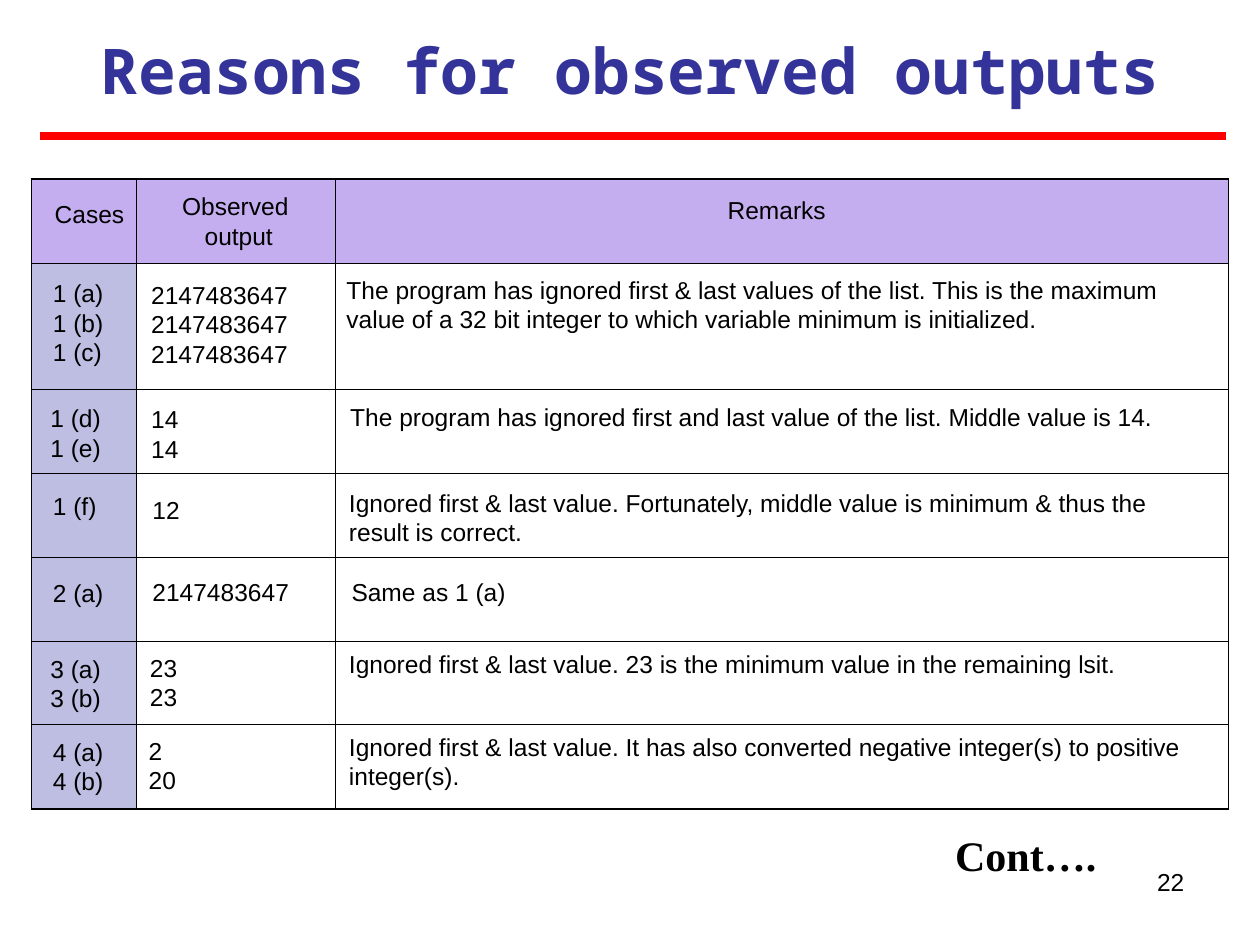
from lxml.etree import SubElement
from pptx import Presentation
from pptx.dml.color import RGBColor
from pptx.enum.shapes import MSO_CONNECTOR
from pptx.enum.text import MSO_ANCHOR, PP_ALIGN
from pptx.oxml.ns import qn
from pptx.util import Inches, Pt

COLORS = {
    "title": "333399",
    "text": "000000",
    "rule": "FF0000",
    "border": "000000",
    "header": "C4AEF0",
    "cases": "BDBEE1",
}


def write_text(shape, lines, size=14, font="Arial", color="text", bold=False,
               align=PP_ALIGN.LEFT, wrap=True):
    frame = shape.text_frame
    frame.margin_left = frame.margin_top = frame.margin_right = frame.margin_bottom = 0
    frame.vertical_anchor = MSO_ANCHOR.TOP
    frame.word_wrap = wrap
    frame.text = "\n".join(lines)
    for paragraph in frame.paragraphs:
        paragraph.alignment = align
        paragraph.font.size = Pt(size)
        paragraph.font.name = font
        paragraph.font.bold = bold
        paragraph.font.color.rgb = RGBColor.from_string(COLORS[color])


def add_border(cell, side, width):
    line = SubElement(cell._tc.get_or_add_tcPr(), qn(f"a:ln{side}"), w=str(Pt(width)))
    fill = SubElement(line, qn("a:solidFill"))
    SubElement(fill, qn("a:srgbClr"), val=COLORS["border"])


presentation = Presentation()
presentation.slide_width = Inches(10)
presentation.slide_height = Inches(7.5)
slide = presentation.slides.add_slide(presentation.slide_layouts[5])

# Title
title = slide.shapes.title
title.left, title.top = Inches(0.25), Inches(0.25)
title.width, title.height = Inches(9.5), Inches(0.6)
write_text(title, ["Reasons for observed outputs"], 36, "Noto Sans Mono", "title",
           bold=True, align=PP_ALIGN.CENTER)

# Table grid: the first body row is taller, the others share the rest
column_widths = [0.83, 1.58, 7.09]
row_heights = [4 / 6, 1] + [4 / 6] * 5
last_row, last_column = len(row_heights) - 1, len(column_widths) - 1
table = slide.shapes.add_table(len(row_heights), len(column_widths), Inches(0.25),
                               Inches(1.42), Inches(9.5), Inches(5)).table
table.first_row = table.horz_banding = False
for column, width in zip(table.columns, column_widths):
    column.width = Inches(width)
for row, height in zip(table.rows, row_heights):
    row.height = Inches(height)

for row in range(last_row + 1):
    for column in range(last_column + 1):
        cell = table.cell(row, column)
        outer_sides = {"L": column == 0, "R": column == last_column,
                       "T": row == 0, "B": row == last_row}
        for side, is_outer in outer_sides.items():
            add_border(cell, side, 1.08 if is_outer else 0.45)
        if row == 0 or column == 0:
            cell.fill.solid()
            cell.fill.fore_color.rgb = RGBColor.from_string(
                COLORS["header" if row == 0 else "cases"])
        else:
            cell.fill.background()

# Column headings: left, top, width, lines
headings = [
    (0.42, 1.58, 0.58, ["Cases"]),
    (1.2, 1.52, 1.39, ["Observed ", "output"]),
    (2.83, 1.55, 6.67, ["Remarks"]),
]
line_height = 0.23
for left, top, width, lines in headings:
    box = slide.shapes.add_textbox(Inches(left), Inches(top), Inches(width),
                                   Inches(line_height * len(lines)))
    write_text(box, lines, align=PP_ALIGN.CENTER)

# Entries of each row: (left, top, lines) for case, output and remark
entry_widths = [0.5, 1.39, 6.83]
entries = [
    [(0.42, 2.21, ["1 (a)", "1 (b)", "1 (c)"]),
     (1.2, 2.22, ["2147483647"] * 3),
     (2.75, 2.18, ["The program has ignored first & last values of the list. This is the "
                   "maximum value of a 32 bit integer to which variable minimum is "
                   "initialized."])],
    [(0.4, 3.2, ["1 (d)", "1 (e)"]),
     (1.2, 3.21, ["14", "14"]),
     (2.78, 3.19, ["The program has ignored first and last value of the list. "
                   "Middle value is 14."])],
    [(0.42, 3.9, ["1 (f)"]),
     (1.21, 3.93, ["12"]),
     (2.77, 3.87, ["Ignored first & last value. Fortunately, middle value is minimum "
                   "& thus the result is correct."])],
    [(0.42, 4.59, ["2 (a)"]),
     (1.21, 4.58, ["2147483647"]),
     (2.79, 4.58, ["Same as 1 (a)"])],
    [(0.4, 5.19, ["3 (a)", "3 (b)"]),
     (1.19, 5.18, ["23", "23"]),
     (2.77, 5.15, ["Ignored first & last value. 23 is the minimum value in the "
                   "remaining lsit."])],
    [(0.42, 5.85, ["4 (a)", "4 (b)"]),
     (1.18, 5.84, ["2", "20"]),
     (2.77, 5.81, ["Ignored first & last value. It has also converted negative "
                   "integer(s) to positive integer(s)."])],
]
for row_entries in entries:
    for (left, top, lines), width in zip(row_entries, entry_widths):
        line_count = 2 if len(lines[0]) > 80 else len(lines)
        box = slide.shapes.add_textbox(Inches(left), Inches(top), Inches(width),
                                       Inches(line_height * line_count))
        write_text(box, lines)

# Rule under the title
rule = slide.shapes.add_connector(MSO_CONNECTOR.STRAIGHT, Inches(0.32), Inches(1.08),
                                  Inches(9.73), Inches(1.08))
rule.line.color.rgb = RGBColor.from_string(COLORS["rule"])
rule.line.width = Pt(4.5)
SubElement(rule._element.spPr, qn("a:effectLst"))

# Continuation note and slide number
note = slide.shapes.add_textbox(Inches(7.58), Inches(6.58), Inches(1.12), Inches(0.4))
write_text(note, ["Cont…."], 24, "Times New Roman", bold=True, wrap=False)
number = slide.shapes.add_textbox(Inches(7.27), Inches(6.88), Inches(2.13), Inches(0.42))
write_text(number, ["22"], align=PP_ALIGN.RIGHT)

presentation.save("out.pptx")
